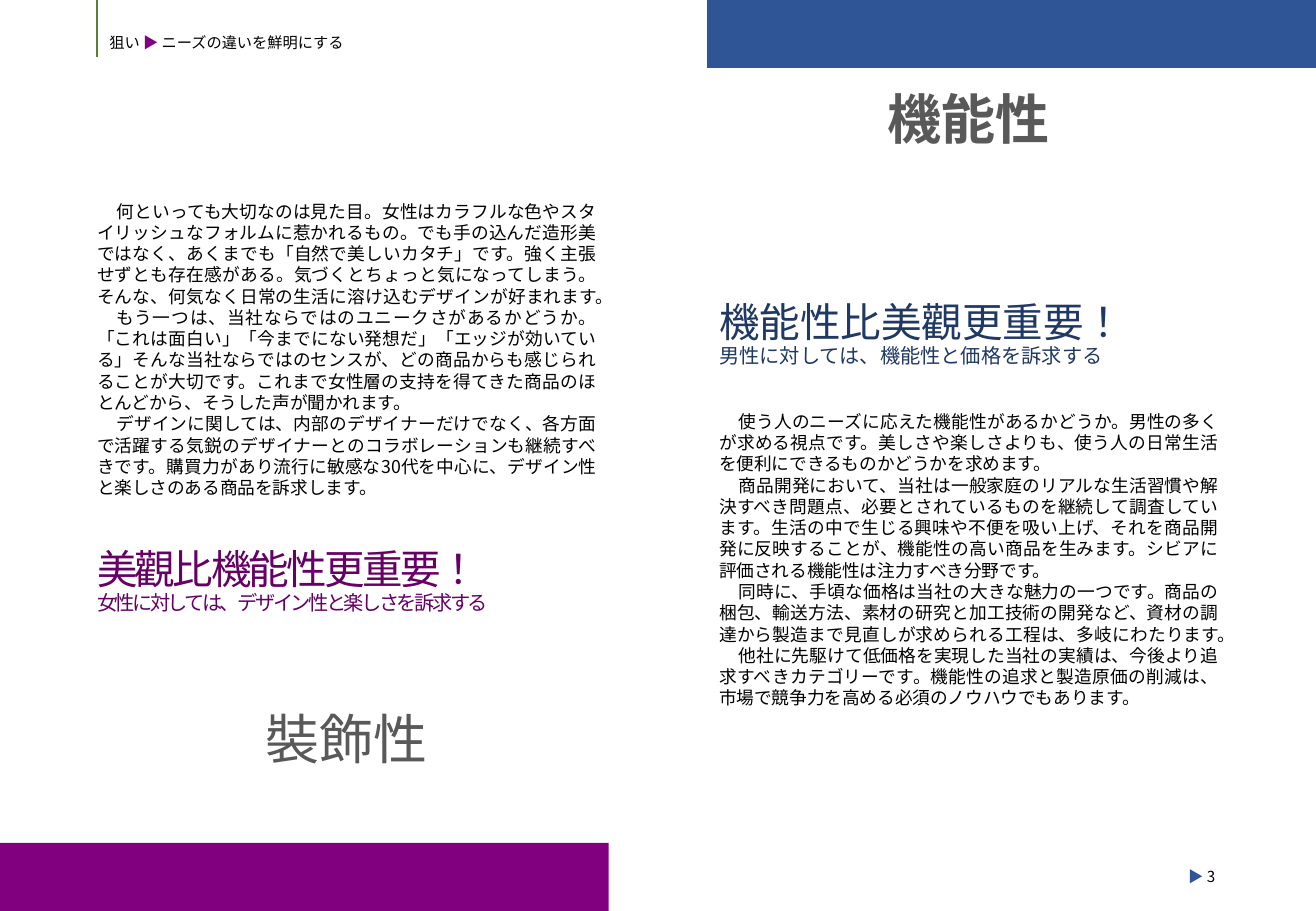
from dataclasses import dataclass

from lxml.etree import SubElement
from pptx import Presentation
from pptx.dml.color import RGBColor
from pptx.enum.lang import MSO_LANGUAGE_ID
from pptx.enum.shapes import MSO_CONNECTOR, MSO_SHAPE
from pptx.enum.text import MSO_ANCHOR, MSO_AUTO_SIZE, PP_ALIGN
from pptx.oxml.ns import qn
from pptx.util import Inches, Pt


@dataclass(frozen=True)
class TextStyle:
    size: float
    leading: float


@dataclass(frozen=True)
class Theme:
    font: str = "Noto Sans CJK JP"
    ink: str = "000000"
    grey: str = "595959"
    purple: str = "800080"
    deep_purple: str = "660066"
    blue: str = "2F5597"
    navy: str = "203864"
    green: str = "548235"
    label: TextStyle = TextStyle(9, 11)
    body: TextStyle = TextStyle(10.5, 12.6)
    subhead: TextStyle = TextStyle(12, 13.5)
    headline: TextStyle = TextStyle(24, 30.5)
    keyword: TextStyle = TextStyle(32, 40.7)


THEME = Theme()
PAGE_WIDTH, PAGE_HEIGHT = 10.83, 7.5
BAND_WIDTH, BAND_HEIGHT = 5.01, 0.56
COLUMN_WIDTH = 4.31
LEFT_COLUMN, RIGHT_COLUMN = 0.7, 5.82
SECTION_GAP = 2 * THEME.body.leading

DESIGN_BODY = [
    "何といっても大切なのは見た目。女性はカラフルな色やスタイリッシュなフォルムに惹かれるもの。でも手の込んだ造形美ではなく、あくまでも「自然で美しいカタチ」です。強く主張せずとも存在感がある。気づくとちょっと気になってしまう。そんな、何気なく日常の生活に溶け込むデザインが好まれます。",
    "もう一つは、当社ならではのユニークさがあるかどうか。「これは面白い」「今までにない発想だ」「エッジが効いている」そんな当社ならではのセンスが、どの商品からも感じられることが大切です。これまで女性層の支持を得てきた商品のほとんどから、そうした声が聞かれます。",
    "デザインに関しては、内部のデザイナーだけでなく、各方面で活躍する気鋭のデザイナーとのコラボレーションも継続すべきです。購買力があり流行に敏感な30代を中心に、デザイン性と楽しさのある商品を訴求します。",
]
FUNCTION_BODY = [
    "使う人のニーズに応えた機能性があるかどうか。男性の多くが求める視点です。美しさや楽しさよりも、使う人の日常生活を便利にできるものかどうかを求めます。",
    "商品開発において、当社は一般家庭のリアルな生活習慣や解決すべき問題点、必要とされているものを継続して調査しています。生活の中で生じる興味や不便を吸い上げ、それを商品開発に反映することが、機能性の高い商品を生みます。シビアに評価される機能性は注力すべき分野です。",
    "同時に、手頃な価格は当社の大きな魅力の一つです。商品の梱包、輸送方法、素材の研究と加工技術の開発など、資材の調達から製造まで見直しが求められる工程は、多岐にわたります。",
    "他社に先駆けて低価格を実現した当社の実績は、今後より追求すべきカテゴリーです。機能性の追求と製造原価の削減は、市場で競争力を高める必須のノウハウでもあります。",
]


def write(frame, text, style, color=THEME.ink, align=PP_ALIGN.LEFT, bold=False,
          indent=0, before=0, spacing=0):
    fresh = not frame.paragraphs[0].runs
    paragraph = frame.paragraphs[0] if fresh else frame.add_paragraph()
    paragraph.alignment = align
    paragraph.line_spacing = Pt(style.leading)
    paragraph.space_before = Pt(before)
    paragraph.space_after = Pt(0)
    properties = paragraph._p.get_or_add_pPr()
    properties.set("marL", "0")
    properties.set("indent", str(Inches(indent)))
    pieces = [(text, color)] if isinstance(text, str) else text
    for words, ink in pieces:
        run = paragraph.add_run()
        run.text = words
        run.font.name = THEME.font
        run.font.size = Pt(style.size)
        run.font.bold = bold
        run.font.language_id = MSO_LANGUAGE_ID.JAPANESE
        run.font.color.rgb = RGBColor.from_string(ink)
        run_properties = run._r.get_or_add_rPr()
        SubElement(run_properties, qn("a:ea")).set("typeface", THEME.font)
        if spacing:
            run_properties.set("spc", str(int(spacing * 100)))


class SlideBuilder:
    def __init__(self, deck, theme):
        self.theme = theme
        self.slide = deck.slides.add_slide(deck.slide_layouts[5])

    def prepare(self, frame, wrap=True):
        frame.word_wrap = wrap
        frame.auto_size = MSO_AUTO_SIZE.NONE
        frame.vertical_anchor = MSO_ANCHOR.TOP
        return frame

    def title(self, pieces, left, top, width, height):
        heading = self.slide.shapes.title
        heading.left, heading.top = Inches(left), Inches(top)
        heading.width, heading.height = Inches(width), Inches(height)
        write(self.prepare(heading.text_frame), pieces, self.theme.label)

    def text_box(self, left, top, width, height, wrap=True):
        box = self.slide.shapes.add_textbox(
            Inches(left), Inches(top), Inches(width), Inches(height))
        return self.prepare(box.text_frame, wrap)

    def band(self, left, top, color):
        band = self.slide.shapes.add_shape(
            MSO_SHAPE.RECTANGLE, Inches(left), Inches(top),
            Inches(BAND_WIDTH), Inches(BAND_HEIGHT))
        band.shadow.inherit = False
        band.fill.solid()
        band.fill.fore_color.rgb = RGBColor.from_string(color)
        band.line.fill.background()

    def rule(self, x, top, bottom, color):
        rule = self.slide.shapes.add_connector(
            MSO_CONNECTOR.STRAIGHT, Inches(x), Inches(bottom), Inches(x), Inches(top))
        rule.line.color.rgb = RGBColor.from_string(color)
        rule.line.width = Pt(1.5)
        SubElement(rule._element.spPr, qn("a:effectLst"))

    def keyword(self, text, left, top, bold=False):
        write(self.text_box(left, top, COLUMN_WIDTH, 1.14), text, self.theme.keyword,
              color=self.theme.grey, align=PP_ALIGN.CENTER, bold=bold)

    def body(self, frame, paragraphs, before=0):
        for number, text in enumerate(paragraphs):
            write(frame, text, self.theme.body, align=PP_ALIGN.JUSTIFY, indent=0.16,
                  before=0 if number else before)

    def message(self, frame, headline, subhead, color, before=0, spacing=0):
        write(frame, headline, self.theme.headline, color=color,
              align=PP_ALIGN.JUSTIFY, before=before, spacing=spacing)
        write(frame, subhead, self.theme.subhead, color=color,
              align=PP_ALIGN.JUSTIFY, spacing=spacing)


def main():
    deck = Presentation()
    deck.slide_width, deck.slide_height = Inches(PAGE_WIDTH), Inches(PAGE_HEIGHT)
    page = SlideBuilder(deck, THEME)

    page.title([("狙い ", THEME.ink), ("▶ ", THEME.purple),
                ("ニーズの違いを鮮明にする", THEME.ink)], 0.8, 0.22, 2.55, 0.25)
    page.rule(0.8, 0, 0.47, THEME.green)

    page.band(0, PAGE_HEIGHT - BAND_HEIGHT, THEME.purple)
    design = page.text_box(LEFT_COLUMN, 1.6, COLUMN_WIDTH, 3.53)
    page.body(design, DESIGN_BODY)
    page.message(design, "美觀比機能性更重要！", "女性に対しては、デザイン性と楽しさを訴求する",
                 THEME.deep_purple, before=SECTION_GAP, spacing=-1.5)
    page.keyword("裝飾性", LEFT_COLUMN, 5.73)

    page.band(RIGHT_COLUMN, 0, THEME.blue)
    page.keyword("機能性", RIGHT_COLUMN, 0.62, bold=True)
    function = page.text_box(RIGHT_COLUMN, 2.37, COLUMN_WIDTH, 3.53)
    page.message(function, "機能性比美觀更重要！", "男性に対しては、機能性と価格を訴求する",
                 THEME.navy)
    page.body(function, FUNCTION_BODY, before=SECTION_GAP)

    page_number = page.text_box(9.68, 7.09, 0.44, 0.25, wrap=False)
    write(page_number, [("▶ ", THEME.blue), ("3", THEME.ink)], THEME.label)

    deck.save("out.pptx")


if __name__ == "__main__":
    main()
